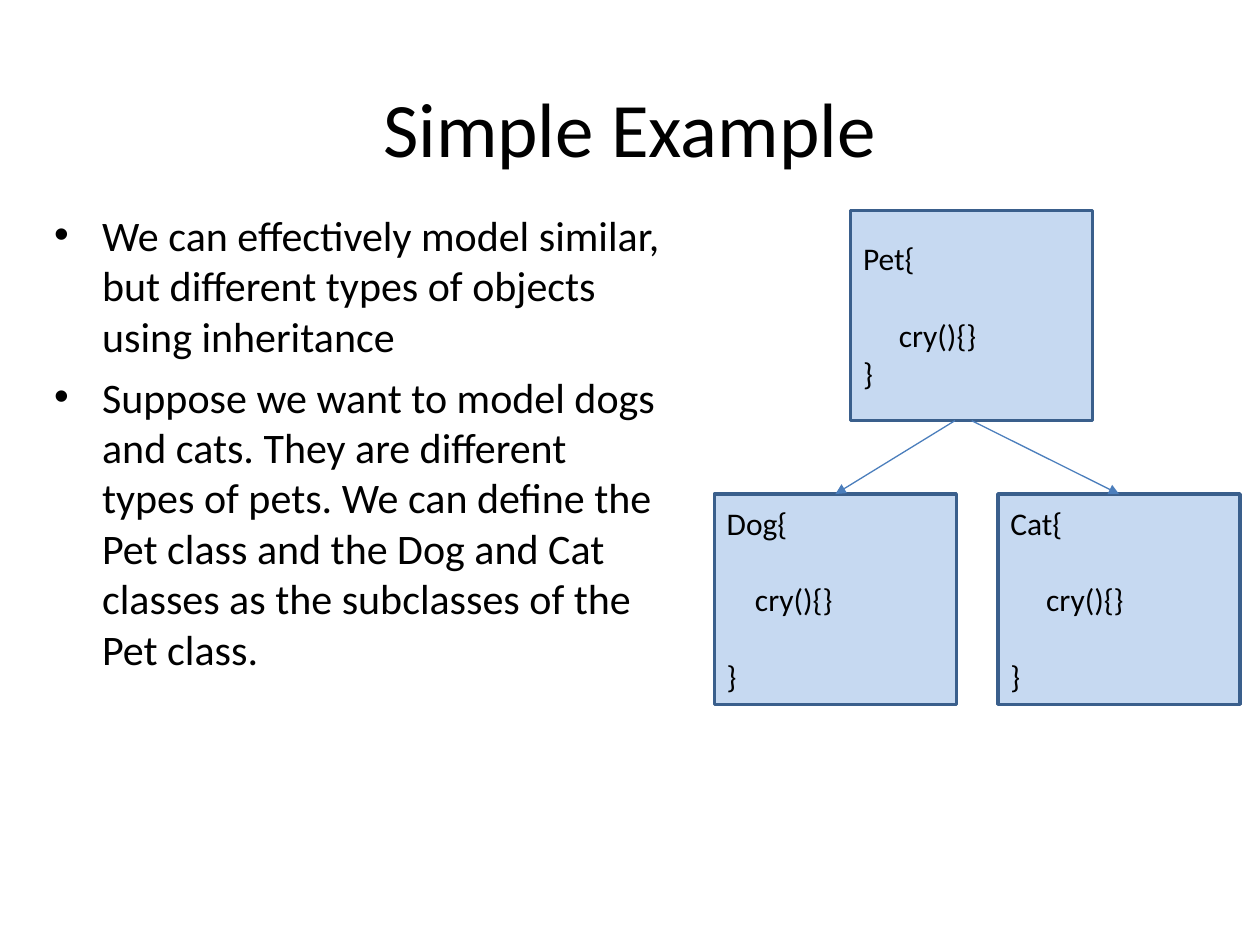
from lxml import etree
from pptx import Presentation
from pptx.dml.color import RGBColor
from pptx.enum.shapes import MSO_CONNECTOR, MSO_SHAPE
from pptx.enum.text import MSO_ANCHOR, PP_ALIGN
from pptx.oxml.ns import qn
from pptx.util import Cm, Pt

RECTANGLE = MSO_SHAPE.RECTANGLE
STRAIGHT = MSO_CONNECTOR.STRAIGHT
LEFT, CENTER = PP_ALIGN.LEFT, PP_ALIGN.CENTER
TOP, MIDDLE = MSO_ANCHOR.TOP, MSO_ANCHOR.MIDDLE
BOTTOM_SIDE, TOP_SIDE = 2, 0

FONT = "Calibri"
BLACK, BOX_FILL, BOX_LINE, ARROW = "000000", "C6D9F1", "3A5F8C", "4B7EBC"
BOX_WIDTH, BOX_HEIGHT = 4.88, 4.24
PET_TOP, SUBCLASS_TOP = 4.24, 9.96
CODE_SIZE, CODE_LINE = 18, 22

BULLETS = [
    "We can effectively model similar, but different types of objects using inheritance",
    "Suppose we want to model dogs and cats. They are different types of pets. "
    "We can define the Pet class and the Dog and Cat classes as the subclasses of the Pet class.",
]


def color(value):
    """Turn a hex string into a colour."""
    return RGBColor.from_string(value)


def add_span(para, text, size):
    """Add one run of text to a paragraph."""
    span = para.add_run()
    span.text = text
    span.font.name = FONT
    span.font.size = Pt(size)
    span.font.color.rgb = color(BLACK)


def next_para(frame, index):
    """Return the first paragraph of a frame, or a new one after it."""
    return frame.add_paragraph() if index else frame.paragraphs[0]


def indent(para, margin, first=0):
    """Set the left margin and first-line indent of a paragraph."""
    properties = para._p.get_or_add_pPr()
    properties.set("marL", str(Cm(margin)))
    properties.set("indent", str(Cm(first)))
    return properties


def add_text_box(page, left, top, width, height, inset_top=0):
    """Add a wrapping text box without side insets and return its frame."""
    box = page.shapes.add_textbox(Cm(left), Cm(top), Cm(width), Cm(height))
    frame = box.text_frame
    frame.word_wrap = True
    frame.vertical_anchor = TOP
    frame.margin_left = frame.margin_right = frame.margin_bottom = 0
    frame.margin_top = Cm(inset_top)
    return frame


def add_title(page, text):
    """Add the centred slide title."""
    para = add_text_box(page, 4.06, 1.17, 17.27, 2.49, 0.46).paragraphs[0]
    para.alignment = CENTER
    add_span(para, text, 44)


def add_bullets(page, texts):
    """Add the bulleted explanation on the left."""
    frame = add_text_box(page, 1.07, 4.22, 12.3, 8.26)
    for index, text in enumerate(texts):
        para = next_para(frame, index)
        para.space_before = Pt(6 if index else 0)
        properties = indent(para, 0.99, -0.97)
        etree.SubElement(properties, qn("a:buFont")).set("typeface", "Arial")
        etree.SubElement(properties, qn("a:buChar")).set("char", "•")
        add_span(para, text, 24)


def add_class_box(page, name, left, top, method_indent, closing_gap):
    """Add a class rectangle holding its name, method and closing brace."""
    box = page.shapes.add_shape(RECTANGLE, Cm(left), Cm(top), Cm(BOX_WIDTH), Cm(BOX_HEIGHT))
    box.shadow.inherit = False
    box.fill.solid()
    box.fill.fore_color.rgb = color(BOX_FILL)
    box.line.color.rgb = color(BOX_LINE)
    box.line.width = Pt(2)
    frame = box.text_frame
    frame.word_wrap = True
    frame.vertical_anchor = MIDDLE
    lines = [(name + "{", 0, 0), ("cry(){}", method_indent, CODE_LINE), ("}", 0, closing_gap)]
    for index, (text, margin, gap) in enumerate(lines):
        para = next_para(frame, index)
        para.alignment = LEFT
        para.space_before = Pt(gap)
        indent(para, margin)
        add_span(para, text, CODE_SIZE)
    return box


def add_arrow(page, start_x, target):
    """Add an arrow from the parent's lower edge to the top of a subclass."""
    arrow = page.shapes.add_connector(
        STRAIGHT, Cm(start_x), Cm(PET_TOP + BOX_HEIGHT), target.left, target.top)
    arrow.end_connect(target, TOP_SIDE)
    arrow.line.color.rgb = color(ARROW)
    arrow.line.width = Pt(0.75)
    etree.SubElement(arrow.line._get_or_add_ln(), qn("a:tailEnd")).set("type", "triangle")
    etree.SubElement(arrow._element.spPr, qn("a:effectLst"))
    return arrow


def main():
    """Build the slide and save it."""
    deck = Presentation()
    deck.slide_width, deck.slide_height = Cm(25.4), Cm(19.05)
    page = deck.slides.add_slide(deck.slide_layouts[6])
    add_title(page, "Simple Example")
    add_bullets(page, BULLETS)
    pet = add_class_box(page, "Pet", 17.15, PET_TOP, 0.72, 0)
    dog = add_class_box(page, "Dog", 14.4, SUBCLASS_TOP, 0.57, CODE_LINE)
    cat = add_class_box(page, "Cat", 20.12, SUBCLASS_TOP, 0.72, CODE_LINE)
    add_arrow(page, 19.25, dog)
    add_arrow(page, 19.59, cat).begin_connect(pet, BOTTOM_SIDE)
    deck.save("out.pptx")


if __name__ == "__main__":
    main()
